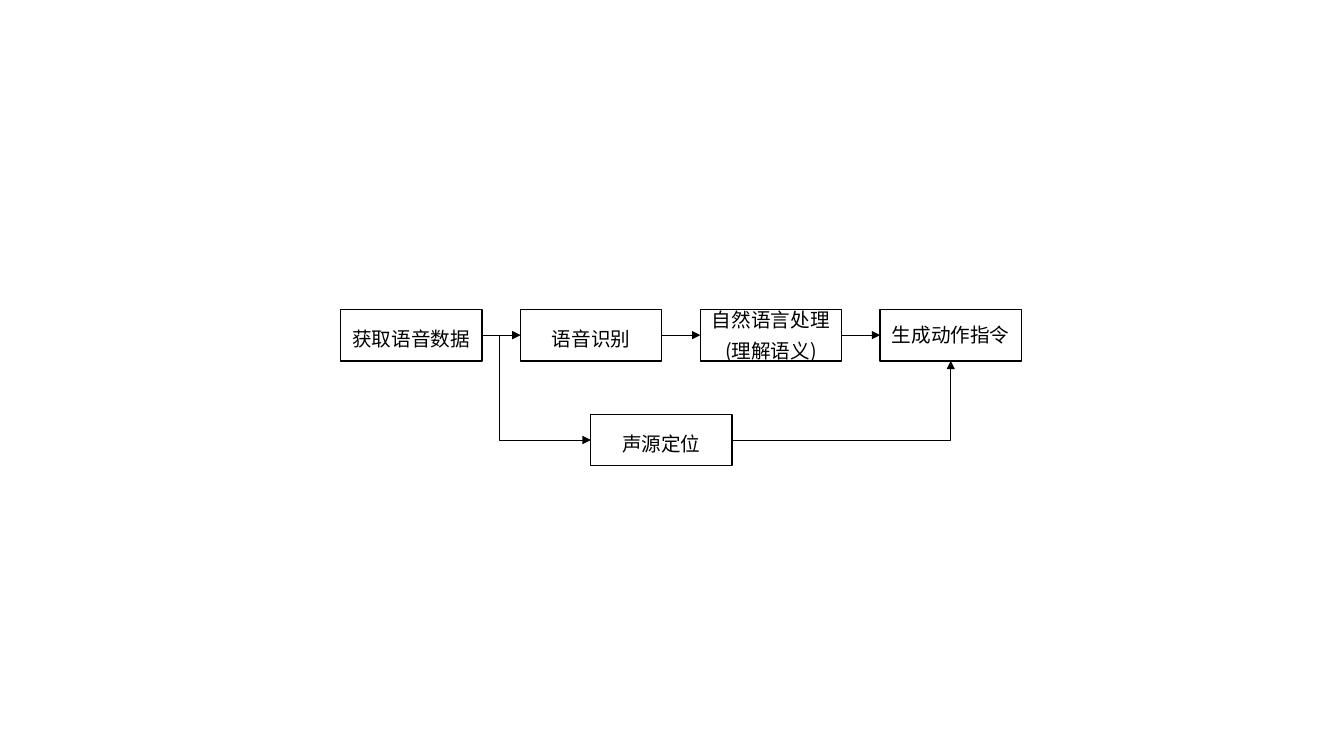
from dataclasses import dataclass

from lxml.etree import SubElement
from pptx import Presentation
from pptx.dml.color import RGBColor
from pptx.enum.shapes import MSO_CONNECTOR as Connector, MSO_SHAPE as Shape
from pptx.enum.text import MSO_ANCHOR as Anchor, PP_ALIGN as Align
from pptx.oxml.ns import qn
from pptx.shapes.autoshape import Shape as AutoShape
from pptx.slide import Slide
from pptx.util import Inches, Pt


@dataclass(frozen=True)
class Theme:
    font: str = "Noto Sans CJK SC"
    text_size: Pt = Pt(14)
    ink: RGBColor = RGBColor(0, 0, 0)
    paper: RGBColor = RGBColor(255, 255, 255)
    box_line: Pt = Pt(1)
    arrow_line: Pt = Pt(0.5)


@dataclass(frozen=True)
class Line:
    text: str
    spacing: float | None = 1.3


@dataclass(frozen=True)
class Step:
    name: str
    left: float
    top: float
    lines: tuple[Line, ...]


@dataclass(frozen=True)
class Arrow:
    start: str
    end: str
    kind: Connector = Connector.STRAIGHT
    end_site: int = 1
    preset: str | None = None
    bend: float | None = None


THEME = Theme()
BOX_WIDTH, BOX_HEIGHT = 1.4, 0.51
RIGHT_SITE, BOTTOM_SITE = 3, 2

MAIN_ROW = (
    ("capture", (Line("获取语音数据"),)),
    ("recognition", (Line("语音识别"),)),
    ("language", (Line("自然语言处理", None), Line("(理解语义)"))),
    ("command", (Line("生成动作指令", None),)),
)
FIRST_LEFT, LAST_LEFT, ROW_TOP = 3.38, 8.73, 3.07
PITCH = (LAST_LEFT - FIRST_LEFT) / (len(MAIN_ROW) - 1)
STEPS = [
    Step(name, FIRST_LEFT + index * PITCH, ROW_TOP, lines)
    for index, (name, lines) in enumerate(MAIN_ROW)
] + [Step("location", 5.86, 4.11, (Line("声源定位"),))]

ARROWS = (
    Arrow("capture", "recognition"),
    Arrow("recognition", "language"),
    Arrow("language", "command"),
    Arrow("capture", "location", Connector.ELBOW, bend=0.163),
    Arrow("location", "command", Connector.ELBOW, BOTTOM_SITE, "bentConnector2"),
)


def add_step(slide: Slide, step: Step) -> AutoShape:
    shape = slide.shapes.add_shape(
        Shape.RECTANGLE, Inches(step.left), Inches(step.top),
        Inches(BOX_WIDTH), Inches(BOX_HEIGHT),
    )
    shape.shadow.inherit = False
    shape.fill.solid()
    shape.fill.fore_color.rgb = THEME.paper
    shape.line.color.rgb = THEME.ink
    shape.line.width = THEME.box_line
    frame = shape.text_frame
    frame.word_wrap = True
    frame.vertical_anchor = Anchor.MIDDLE
    for index, line in enumerate(step.lines):
        paragraph = frame.add_paragraph() if index else frame.paragraphs[0]
        paragraph.alignment = Align.CENTER
        paragraph.line_spacing = line.spacing
        run = paragraph.add_run()
        run.text = line.text
        run.font.size = THEME.text_size
        run.font.color.rgb = THEME.ink
        run.font.name = THEME.font
        SubElement(run.font._element, qn("a:ea"), typeface=THEME.font)
    return shape


def add_arrow(slide: Slide, arrow: Arrow, boxes: dict[str, AutoShape]) -> None:
    connector = slide.shapes.add_connector(arrow.kind, 0, 0, 0, 0)
    connector.begin_connect(boxes[arrow.start], RIGHT_SITE)
    connector.end_connect(boxes[arrow.end], arrow.end_site)
    connector.line.color.rgb = THEME.ink
    connector.line.width = THEME.arrow_line
    properties = connector._element.spPr
    SubElement(properties.find(qn("a:ln")), qn("a:tailEnd"), type="triangle")
    SubElement(properties, qn("a:effectLst"))
    geometry = properties.find(qn("a:prstGeom"))
    if arrow.preset:
        geometry.set("prst", arrow.preset)
    if arrow.bend is not None:
        guide = SubElement(geometry.find(qn("a:avLst")), qn("a:gd"), name="adj1")
        guide.set("fmla", f"val {round(arrow.bend * 100000)}")


def main() -> None:
    presentation = Presentation()
    presentation.slide_width = Inches(13.33)
    presentation.slide_height = Inches(7.5)
    blank_layout = presentation.slide_layouts[6]
    slide = presentation.slides.add_slide(blank_layout)
    boxes = {step.name: add_step(slide, step) for step in STEPS}
    for arrow in ARROWS:
        add_arrow(slide, arrow, boxes)
    presentation.save("out.pptx")


if __name__ == "__main__":
    main()
